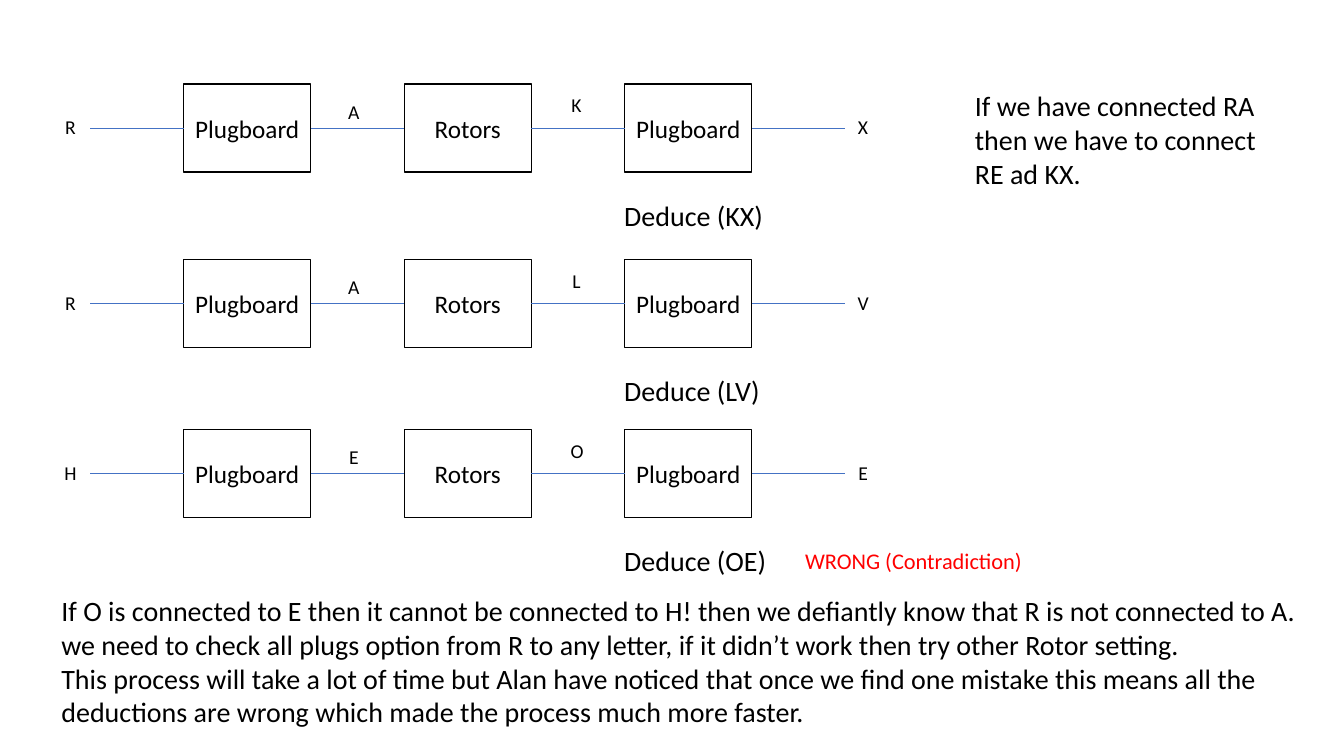
from lxml.etree import SubElement
from pptx import Presentation
from pptx.dml.color import RGBColor
from pptx.enum.shapes import MSO_CONNECTOR as CONN, MSO_SHAPE as SHAPE
from pptx.enum.text import MSO_ANCHOR as ANCHOR, MSO_AUTO_SIZE as FIT, PP_ALIGN as ALIGN
from pptx.oxml.ns import qn
from pptx.util import Pt

PX = 9525
COLORS = {"paper": "FFFFFF", "ink": "000000", "wire": "4472C4", "wrong": "FF0000"}
FONT = "Calibri"
BOX_W, BOX_H, WIRE_W, FIRST_X = 121, 84, 89, 175
STAGES = ["Plugboard", "Rotors", "Plugboard"]
LETTER_SPOTS = [(67, 25), (337, 10), (549, 4), (822, 25)]
ROWS = [(80, "RAKX", "Deduce (KX)"), (247, "RALV", "Deduce (LV)"), (409, "HEOE", "Deduce (OE)")]
ADVICE = "If we have connected RA then we have to connect RE ad KX."
CONCLUSION = [
    "If O is connected to E then it cannot be connected to H! then we defiantly know that R is not connected to A.",
    "we need to check all plugs option from R to any letter, if it didn’t work then try other Rotor setting.",
    "This process will take a lot of time but Alan have noticed that once we find one mistake this means all the "
    "deductions are wrong which made the process much more faster.",
]


def color(name):
    """Return the named colour."""
    return RGBColor.from_string(COLORS[name])


def px(*lengths):
    """Turn pixel lengths into EMU."""
    return [n * PX for n in lengths]


def write(tf, lines, size, align, ink="ink"):
    """Fill a text frame with one paragraph per line."""
    for i, line in enumerate(lines):
        p = tf.add_paragraph() if i else tf.paragraphs[0]
        p.text = line
        p.alignment = align
        p.font.name = FONT
        p.font.size = Pt(size)
        p.font.color.rgb = color(ink)


def add_text(s, box, lines, size=20, align=ALIGN.LEFT, wrap=True, ink="ink"):
    """Add a text box that grows with its text."""
    tf = s.shapes.add_textbox(*px(*box)).text_frame
    tf.word_wrap = wrap
    tf.auto_size = FIT.SHAPE_TO_FIT_TEXT
    write(tf, lines, size, align, ink)


def add_stage(s, x, y, name):
    """Add one outlined box of the machine."""
    sp = s.shapes.add_shape(SHAPE.RECTANGLE, *px(x, y, BOX_W, BOX_H))
    sp.shadow.inherit = False
    sp.fill.solid()
    sp.fill.fore_color.rgb = color("paper")
    sp.line.color.rgb = color("ink")
    sp.line.width = Pt(1)
    sp.text_frame.vertical_anchor = ANCHOR.MIDDLE
    write(sp.text_frame, [name], 18, ALIGN.CENTER)
    return sp


def add_wire(s, x, y, left, right):
    """Add a wire and join it to the boxes at its ends."""
    wire = s.shapes.add_connector(CONN.STRAIGHT, *px(x, y, x + WIRE_W, y))
    wire.line.color.rgb = color("wire")
    wire.line.width = Pt(0.5)
    SubElement(wire._element.spPr, qn("a:effectLst"))
    if left is not None:
        wire.begin_connect(left, 3)
    if right is not None:
        wire.end_connect(right, 1)


def add_row(s, y, letters, deduction):
    """Add a chain of boxes with its wires, letters and deduction."""
    pitch = BOX_W + WIRE_W
    boxes = [add_stage(s, FIRST_X + i * pitch, y, name) for i, name in enumerate(STAGES)]
    for i, (left, right) in enumerate(zip([None] + boxes, boxes + [None])):
        add_wire(s, FIRST_X - WIRE_W + i * pitch, y + BOX_H // 2, left, right)
    for letter, (center, drop) in zip(letters, LETTER_SPOTS):
        add_text(s, (center - 15, y + drop, 30, 33), [letter], 14, ALIGN.CENTER, False)
    add_text(s, (585, y + 104, 263, 42), [deduction])


def main():
    """Build the slide and save it."""
    prs = Presentation()
    prs.slide_width, prs.slide_height = px(1280, 720)
    s = prs.slides.add_slide(prs.slide_layouts[6])
    for row in ROWS:
        add_row(s, *row)
    add_text(s, (919, 80, 304, 107), [ADVICE])
    add_text(s, (756, 516, 228, 36), ["WRONG (Contradiction)"], 16, ALIGN.CENTER, False, "wrong")
    add_text(s, (49, 561, 1202, 139), CONCLUSION)
    prs.save("out.pptx")


if __name__ == "__main__":
    main()
